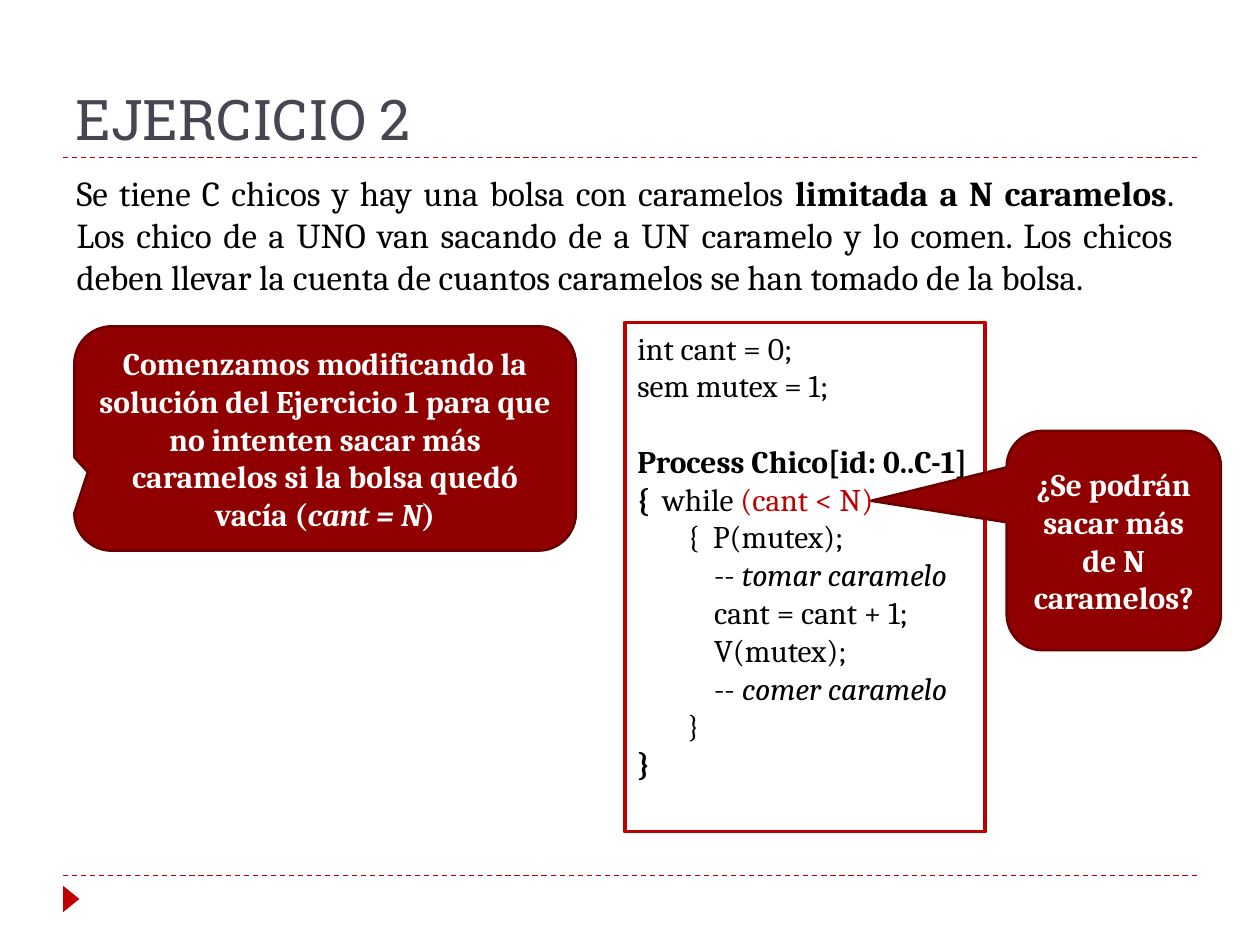
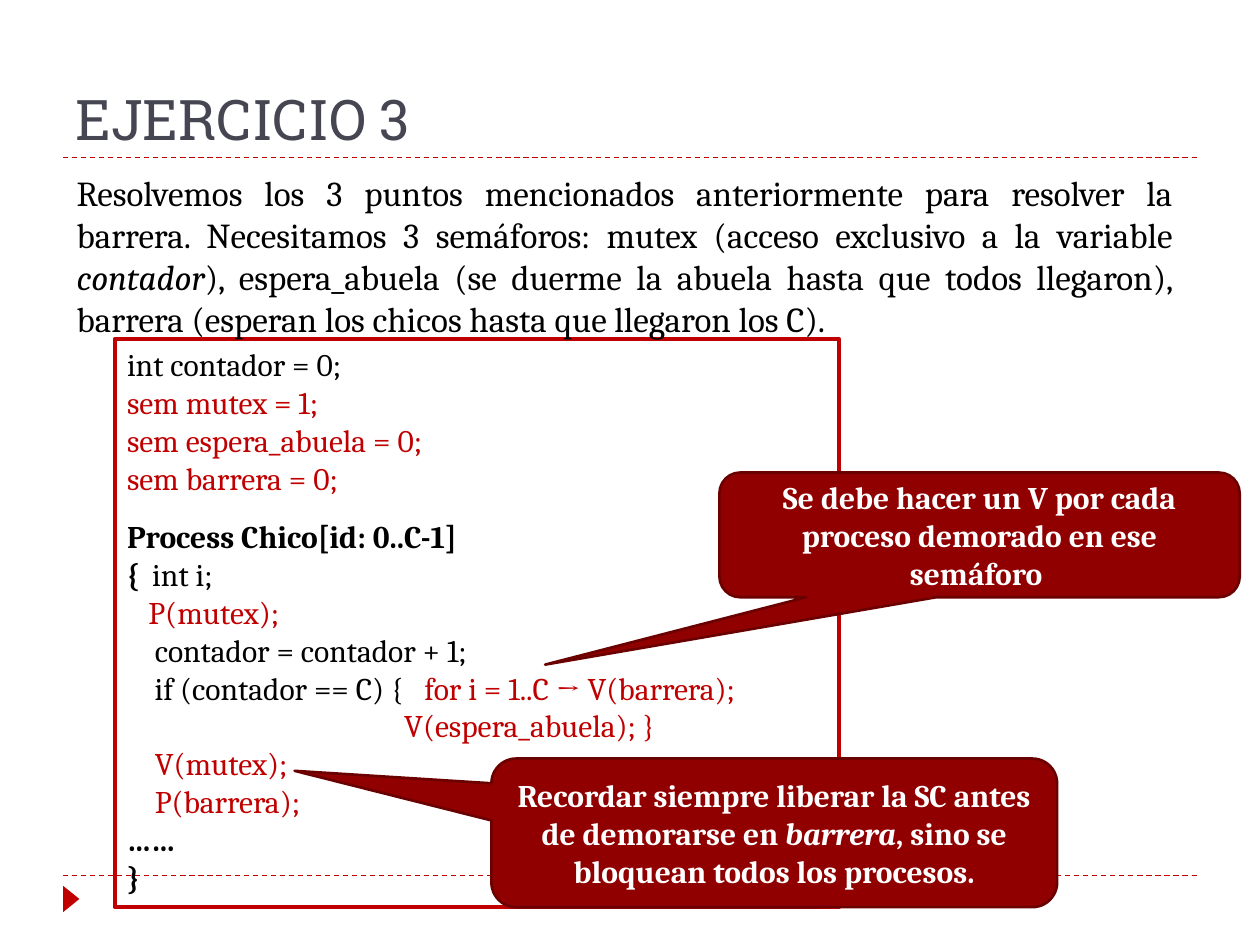
"""Builds two slides with semaphore exercises: statement, code box and callouts."""
from lxml.etree import SubElement
from pptx import Presentation
from pptx.dml.color import RGBColor
from pptx.enum.dml import MSO_LINE
from pptx.enum.shapes import MSO_CONNECTOR, MSO_SHAPE
from pptx.enum.text import MSO_ANCHOR, PP_ALIGN
from pptx.oxml.ns import qn
from pptx.util import Inches, Pt

COLOURS = {
    "accent": "C00000",
    "callout": "900000",
    "callout_line": "6B0000",
    "title": "464653",
    "text": "000000",
    "white": "FFFFFF",
}
FORMATS = {
    "title": {"name": "Roboto Slab", "size": Pt(32)},
    "body": {"name": "Cambria", "size": Pt(20)},
    "code": {"name": "Cambria", "size": Pt(18)},
    "callout": {"name": "Cambria", "size": Pt(18), "bold": True},
}
EMPHASIS = {
    "plain": {},
    "bold": {"bold": True},
    "italic": {"italic": True},
    "accent": {},
}
STEP = 0.22
BRACE = 0.2
BRANCH = 2.36

SLIDES = [
    {
        "title": "EJERCICIO 2",
        "body_height": 1.11,
        "body": [
            ("Se tiene C chicos y hay una bolsa con caramelos ", "plain"),
            ("limitada a N caramelos", "bold"),
            (". Los chico de a UNO van sacando de a UN caramelo y lo comen. Los chicos "
             "deben llevar la cuenta de cuantos caramelos se han tomado de la bolsa.", "plain"),
        ],
        "code_box": (4.96, 2.56, 2.86, 4.04),
        "code": [
            {"runs": [("int cant = 0;", "plain")]},
            {"runs": [("sem mutex = 1;", "plain")]},
            {"runs": [("Process Chico[id: 0..C-1]", "bold")], "before": 21.5},
            {"runs": [("{\t", "bold"), ("while ", "plain"), ("(cant < N)", "accent")],
             "left": BRACE, "hanging": BRACE},
            {"runs": [("{\tP(mutex);", "plain")], "left": 0.6, "hanging": BRACE},
            {"runs": [("-- ", "plain"), ("tomar caramelo", "italic")], "left": 0.61},
            {"runs": [("cant = cant + 1;", "plain")], "left": 0.61},
            {"runs": [("V(mutex);", "plain")], "left": 0.61},
            {"runs": [("-- ", "plain"), ("comer caramelo", "italic")], "left": 0.61},
            {"runs": [("}", "plain")], "left": 0.4},
            {"runs": [("}", "bold")]},
        ],
        "callouts": [
            {"box": (0.59, 2.59, 3.98, 1.78), "tip": (-0.473, 0.15), "runs": [
                ("Comenzamos modificando la solución del Ejercicio 1 para que no intenten "
                 "sacar más caramelos si la bolsa quedó vacía (", "plain"),
                ("cant = N", "italic"), (")", "plain")]},
            {"box": (7.99, 3.42, 1.7, 1.74), "tip": (-1.132, -0.181), "runs": [
                ("¿Se podrán sacar más de N caramelos?", "plain")]},
        ],
    },
    {
        "title": "EJERCICIO 3",
        "body_height": 1.45,
        "body": [
            ("Resolvemos los 3 puntos mencionados anteriormente para resolver la barrera. "
             "Necesitamos 3 semáforos: mutex (acceso exclusivo a la variable ", "plain"),
            ("contador", "italic"),
            ("), espera_abuela (se duerme la abuela hasta que todos llegaron), barrera "
             "(esperan los chicos hasta que llegaron los C).", "plain"),
        ],
        "code_box": (0.91, 2.69, 5.75, 4.51),
        "code": [
            {"runs": [("int contador = 0;", "plain")]},
            {"runs": [("sem mutex = 1;", "accent")]},
            {"runs": [("sem espera_abuela = 0;", "accent")]},
            {"runs": [("sem barrera = 0;", "accent")]},
            {"runs": [("Process Chico[id: 0..C-1]", "bold")], "before": 12},
            {"runs": [("{\t", "bold"), ("int i;", "plain")], "left": BRACE, "hanging": BRACE},
            {"runs": [("P(mutex);", "accent")], "left": 0.17},
            {"runs": [("contador = contador + 1;", "plain")], "left": STEP},
            {"runs": [("if (contador == C) {\t", "plain"),
                      ("for i = 1..C → V(barrera);", "accent")],
             "left": BRANCH, "hanging": BRANCH - STEP},
            {"runs": [("V(espera_abuela); }", "accent")], "left": 2.2},
            {"runs": [("V(mutex);", "accent")], "left": STEP},
            {"runs": [("P(barrera);", "accent")], "left": STEP},
            {"runs": [("……", "bold")]},
            {"runs": [("}", "bold")]},
        ],
        "callouts": [
            {"box": (3.9, 6.02, 4.49, 1.18), "tip": (-0.848, -0.417), "runs": [
                ("Recordar siempre liberar la SC antes de demorarse en ", "plain"),
                ("barrera", "italic"),
                (", sino se bloquean todos los procesos.", "plain")]},
            {"box": (5.71, 3.75, 4.13, 0.99), "tip": (-0.835, 1.04), "runs": [
                ("Se debe hacer un V por cada proceso demorado en ese semáforo ", "plain")]},
        ],
    },
]


def add_box(slide, kind, box, fill=None, line=None, width=0):
    """Adds a text box when kind is None, otherwise a preset shape."""
    lengths = [Inches(value) for value in box]
    if kind is None:
        shape = slide.shapes.add_textbox(*lengths)
    else:
        shape = slide.shapes.add_shape(kind, *lengths)
        shape.shadow.inherit = False
        for part, colour in ((shape.fill, fill), (shape.line.fill, line)):
            if colour:
                part.solid()
                part.fore_color.rgb = RGBColor.from_string(COLOURS[colour])
            else:
                part.background()
        if line:
            shape.line.width = Pt(width)
    shape.text_frame.word_wrap = True
    shape.text_frame.vertical_anchor = MSO_ANCHOR.TOP
    return shape


def write_runs(paragraph, runs, style, colour, alignment=PP_ALIGN.LEFT):
    """Writes runs of (text, emphasis) into a paragraph."""
    paragraph.alignment = alignment
    for text, emphasis in runs:
        run = paragraph.add_run()
        run.text = text
        for name, value in {**FORMATS[style], **EMPHASIS[emphasis]}.items():
            setattr(run.font, name, value)
        shown = "accent" if emphasis == "accent" else colour
        run.font.color.rgb = RGBColor.from_string(COLOURS[shown])


presentation = Presentation()
presentation.slide_width = Inches(10)
presentation.slide_height = Inches(7.5)

for content in SLIDES:
    slide = presentation.slides.add_slide(presentation.slide_layouts[6])

    for top in (6.95, 1.25):
        rule = slide.shapes.add_connector(
            MSO_CONNECTOR.STRAIGHT, Inches(0.5), Inches(top), Inches(9.5), Inches(top))
        rule.line.color.rgb = RGBColor.from_string(COLOURS["accent"])
        rule.line.width = Pt(0.75)
        rule.line.dash_style = MSO_LINE.DASH
        SubElement(rule.line._get_or_add_ln().getparent(), qn("a:effectLst"))
    marker = add_box(slide, MSO_SHAPE.ISOSCELES_TRIANGLE, (0.46, 7.07, 0.21, 0.13), "accent")
    marker.rotation = 90

    title = add_box(slide, None, (0.5, 0.17, 9, 1.08))
    title.text_frame.vertical_anchor = MSO_ANCHOR.BOTTOM
    write_runs(title.text_frame.paragraphs[0], [(content["title"], "plain")], "title", "title")

    code = add_box(slide, MSO_SHAPE.RECTANGLE, content["code_box"], None, "accent", 2.25)
    for index, row in enumerate(content["code"]):
        frame = code.text_frame
        paragraph = frame.add_paragraph() if index else frame.paragraphs[0]
        write_runs(paragraph, row["runs"], "code", "text")
        paragraph.space_before = Pt(row.get("before", 0))
        properties = paragraph._p.get_or_add_pPr()
        properties.set("marL", str(Inches(row.get("left", 0))))
        properties.set("indent", str(-Inches(row.get("hanging", 0))))

    body = add_box(slide, None, (0.51, 1.31, 8.9, content["body_height"]))
    write_runs(body.text_frame.paragraphs[0], content["body"], "body", "text", PP_ALIGN.JUSTIFY)

    for note in content["callouts"]:
        callout = add_box(slide, MSO_SHAPE.ROUNDED_RECTANGULAR_CALLOUT, note["box"],
                          "callout", "callout_line", 1.5)
        for index, value in enumerate((*note["tip"], 0.167)):
            callout.adjustments[index] = value
        callout.text_frame.vertical_anchor = MSO_ANCHOR.MIDDLE
        write_runs(callout.text_frame.paragraphs[0], note["runs"], "callout", "white",
                   PP_ALIGN.CENTER)

presentation.save("out.pptx")
